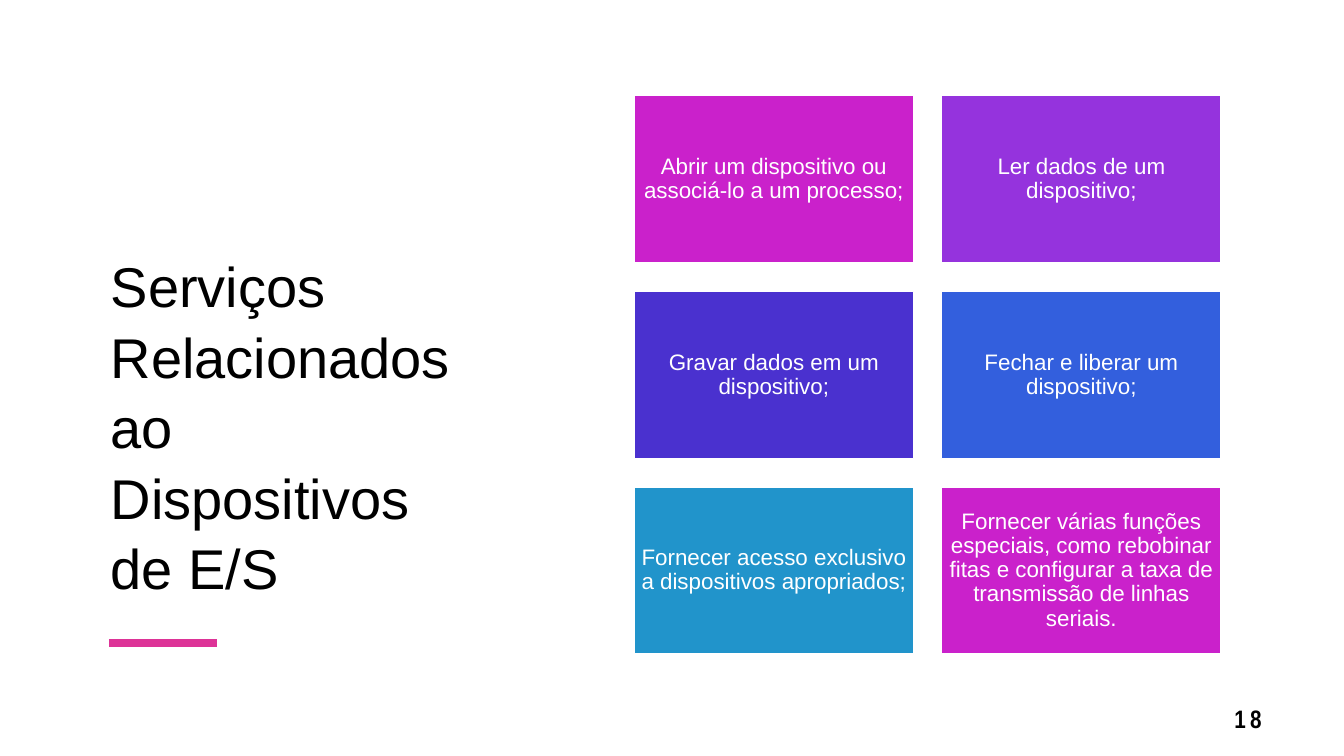
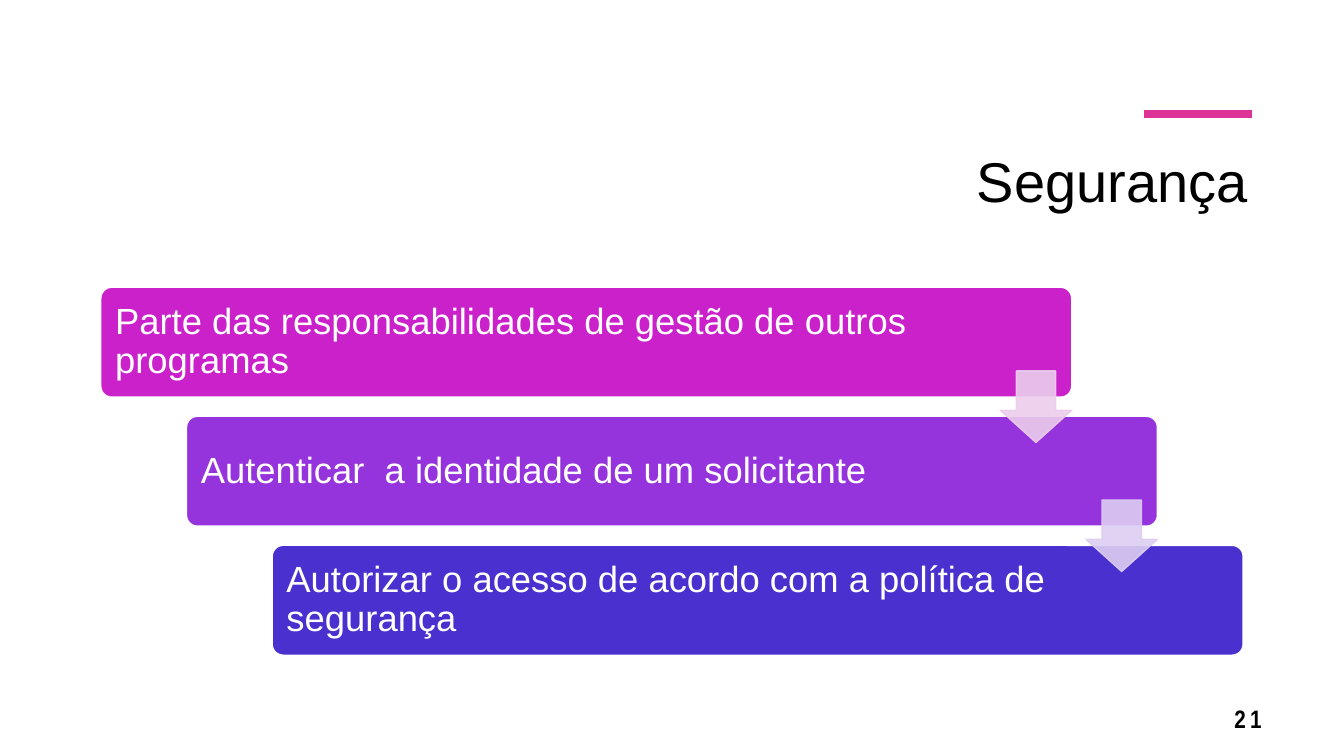
from lxml import etree
from pptx import Presentation, util as u
from pptx.dml.color import RGBColor
from pptx.enum import shapes, text
from pptx.oxml.ns import qn

COLOURS = {
    "black": "000000", "white": "FFFFFF", "accent": "DD3397",
    "magenta": "CA21CB", "purple": "9533DD", "indigo": "4A31CF",
    "blue": "335FDD", "cyan": "2194CB",
    "pale magenta": "ECCDEC", "pale purple": "DDCEF2",
}
ALIGN, ANCHOR = text.PP_ALIGN, text.MSO_ANCHOR
TITLE = {"font": {"name": "Arial", "size": u.Pt(40)}, "colour": "black",
         "para": {"line_spacing": 1.05}, "frame": {}}
NUMBER = {"font": {"name": "Arial Narrow", "size": u.Pt(18), "bold": True}, "colour": "black",
          "para": {"alignment": ALIGN.RIGHT, "line_spacing": 0.9},
          "frame": {"vertical_anchor": ANCHOR.MIDDLE}}
CARD = {"font": {"name": "Arial", "size": u.Pt(16)}, "colour": "white",
        "para": {"alignment": ALIGN.CENTER, "line_spacing": 0.9},
        "frame": {"vertical_anchor": ANCHOR.MIDDLE,
                  "margin_left": u.Inches(0.07), "margin_right": u.Inches(0.07),
                  "margin_top": u.Inches(0.07), "margin_bottom": u.Inches(0.07)}}
STEP = {"font": {"name": "Arial", "size": u.Pt(26)}, "colour": "white",
        "para": {"alignment": ALIGN.LEFT, "line_spacing": 0.9},
        "frame": {"vertical_anchor": ANCHOR.MIDDLE,
                  "margin_left": u.Inches(0.11), "margin_right": u.Inches(1.23),
                  "margin_top": u.Inches(0.11), "margin_bottom": u.Inches(0.11)}}


def write(box, words, style):
    """Fill a shape with one styled paragraph and return its run."""
    frame = box.text_frame
    frame.word_wrap = True
    para = frame.paragraphs[0]
    span = para.add_run()
    span.text = words
    for target, values in ((frame, style["frame"]), (para, style["para"]),
                           (span.font, style["font"])):
        for name, value in values.items():
            setattr(target, name, value)
    span.font.color.rgb = RGBColor.from_string(COLOURS[style["colour"]])
    return span


def add_block(page, kind, place, fill, line):
    block = page.shapes.add_shape(kind, *map(u.Inches, place))
    block.shadow.inherit = False
    block.fill.solid()
    block.fill.fore_color.rgb = RGBColor.from_string(COLOURS[fill])
    block.line.color.rgb = RGBColor.from_string(COLOURS[line])
    block.line.width = u.Pt(1)
    return block


deck = Presentation()
deck.slide_width, deck.slide_height = u.Inches(13.33), u.Inches(7.5)

# Title, accent line and page number of each slide
headings = [
    ("Serviços Relacionados ao Dispositivos de E/S", (1, 1, 3.88, 5.01),
     ANCHOR.BOTTOM, ALIGN.LEFT, (1.08, 6.38), "18"),
    ("Segurança", (1.9, 1.37, 10.57, 1.25),
     ANCHOR.TOP, ALIGN.RIGHT, (11.35, 1.13), "21"),
]
pages = []
for title, place, anchor, alignment, (left, top), number in headings:
    page = deck.slides.add_slide(deck.slide_layouts[6])
    pages.append(page)
    box = page.shapes.add_textbox(*map(u.Inches, place))
    write(box, title, TITLE)
    box.text_frame.vertical_anchor = anchor
    box.text_frame.paragraphs[0].alignment = alignment

    accent = page.shapes.add_connector(
        shapes.MSO_CONNECTOR.STRAIGHT,
        *map(u.Inches, (left, top, left + 1.07, top)))
    accent.line.color.rgb = RGBColor.from_string(COLOURS["accent"])
    accent.line.width = u.Pt(6)
    etree.SubElement(accent._element.spPr, qn("a:effectLst"))

    box = page.shapes.add_textbox(*map(u.Inches, (11.82, 6.95, 0.79, 0.4)))
    span = write(box, number, NUMBER)
    span.font._element.set("spc", "300")

services_page, security_page = pages

# Grid of services
services = [
    ("Abrir um dispositivo ou associá-lo a um processo;", "magenta"),
    ("Ler dados de um dispositivo;", "purple"),
    ("Gravar dados em um dispositivo;", "indigo"),
    ("Fechar e liberar um dispositivo;", "blue"),
    ("Fornecer acesso exclusivo a dispositivos apropriados;", "cyan"),
    ("Fornecer várias funções especiais, como rebobinar fitas e configurar "
     "a taxa de transmissão de linhas seriais.", "magenta"),
]
for index, (words, fill) in enumerate(services):
    row, column = divmod(index, 2)
    place = (6.29 + 3.05 * column, 0.95 + 1.94 * row, 2.77, 1.66)
    card = add_block(services_page, shapes.MSO_SHAPE.RECTANGLE, place, fill, "white")
    write(card, words, CARD)

# Staircase of security steps
steps = [
    ("Parte das responsabilidades de gestão de outros programas", "magenta"),
    ("Autenticar  a identidade de um solicitante", "purple"),
    ("Autorizar o acesso de acordo com a política de segurança", "indigo"),
]
corners = [(1 + 0.85 * index, 2.85 + 1.28 * index) for index in range(len(steps))]
for (words, fill), (left, top) in zip(steps, corners):
    bar = add_block(security_page, shapes.MSO_SHAPE.ROUNDED_RECTANGLE,
                    (left, top, 9.63, 1.09), fill, "white")
    bar.adjustments[0] = 0.1
    write(bar, words, STEP)

# Translucent arrows from each step to the next
for (left, top), fill in zip(corners, ("pale magenta", "pale purple")):
    arrow = add_block(security_page, shapes.MSO_SHAPE.DOWN_ARROW,
                      (left + 8.92, top + 0.83, 0.71, 0.71), fill, fill)
    arrow.adjustments[0], arrow.adjustments[1] = 0.55, 0.45
    for colour in arrow._element.spPr.iter(qn("a:srgbClr")):
        etree.SubElement(colour, qn("a:alpha"), val="90000")

deck.save("out.pptx")
